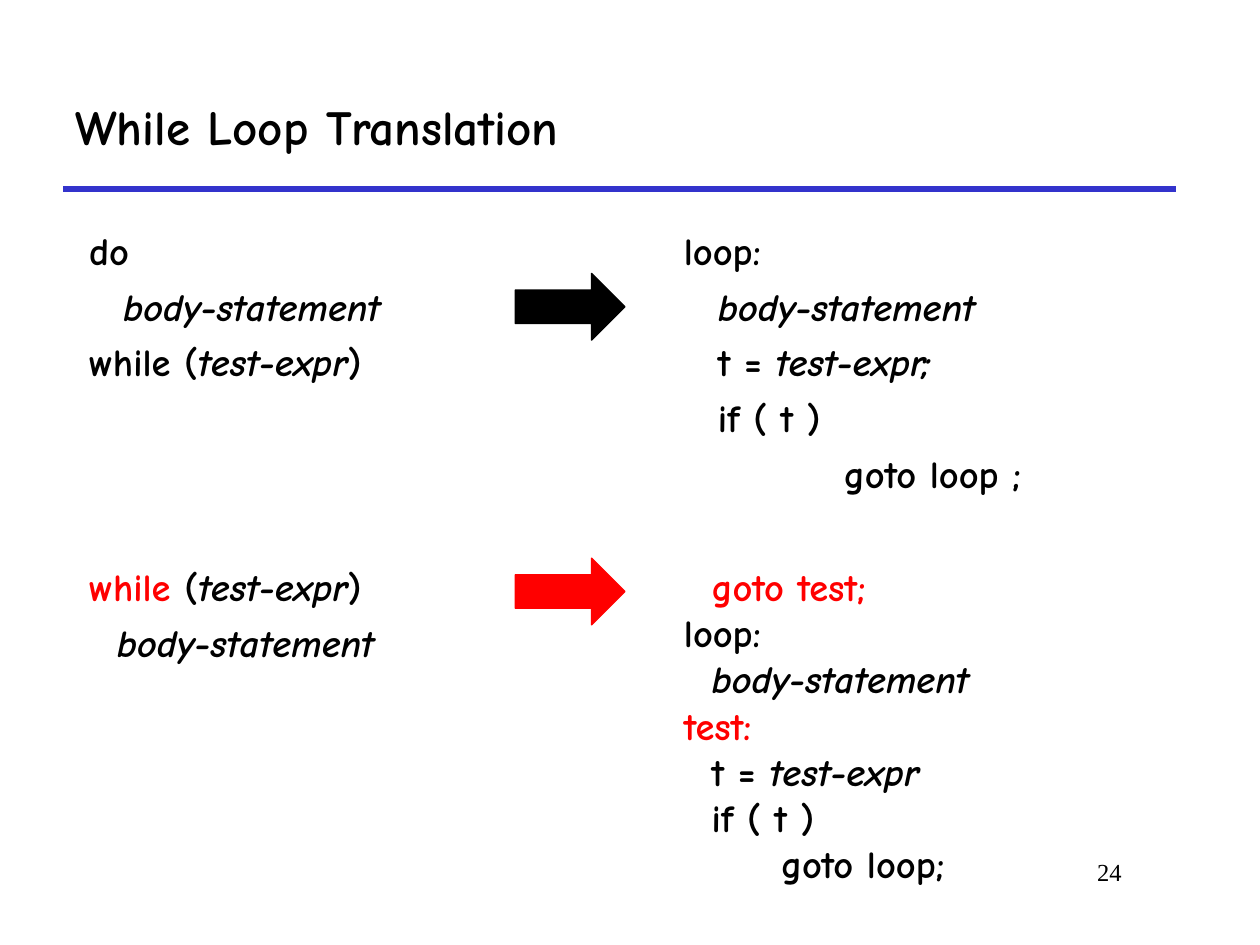
from dataclasses import dataclass

from lxml.etree import SubElement
from pptx import Presentation
from pptx.dml.color import RGBColor
from pptx.enum.shapes import MSO_CONNECTOR as Link, MSO_SHAPE as Shape
from pptx.enum.text import MSO_ANCHOR as Anchor, PP_ALIGN as Align
from pptx.oxml.ns import qn
from pptx.util import Inches, Pt

BLACK = RGBColor(0, 0, 0)
RED = RGBColor(255, 0, 0)
BLUE = RGBColor(0x33, 0x33, 0xCC)
COMIC = "Comic Neue"
TIMES = "Times New Roman"
SPACE = 0.11
TAB = 0.38


@dataclass
class Run:
    text: str
    color: RGBColor = BLACK
    slant: bool = False


@dataclass
class Line:
    runs: list[Run]
    indent: float = SPACE


@dataclass
class Block:
    left: float
    top: float
    width: float
    height: float
    lines: list[Line]
    gap: float = 5.5
    size: float = 22
    font: str = COMIC
    bold: bool = True
    align: Align = Align.LEFT
    anchor: Anchor = Anchor.TOP


BODY = Run("body-statement", slant=True)
TEST = Run("test-expr", slant=True)
LOOP = Line([Run("loop:")])
IF = Run("if ( t )")
STEP = 3 * SPACE

BLOCKS = [
    Block(0.5, 0.5, 8.83, 1, [Line([Run("While Loop Translation")], 0)],
          gap=0, size=28, anchor=Anchor.MIDDLE),
    Block(0.5, 1.75, 3.33, 1.75, [
        Line([Run("do")]),
        Line([BODY], TAB),
        Line([Run("while ("), TEST, Run(")")]),
    ]),
    Block(5.22, 1.75, 3.33, 2.42, [
        LOOP,
        Line([BODY], TAB),
        Line([Run("t = "), Run("test-expr;", slant=True)], TAB),
        Line([IF], TAB),
        Line([Run("goto loop ;")], TAB + 1),
    ]),
    Block(0.5, 4.42, 3.75, 1.25, [
        Line([Run("while", RED), Run(" ("), TEST, Run(")")]),
        Line([BODY], STEP),
    ]),
    Block(5.22, 4.42, 4.25, 2.67, [
        Line([Run("goto test;", RED)], STEP),
        LOOP,
        Line([BODY], STEP),
        Line([Run("test:", RED)]),
        Line([Run("t = "), TEST], STEP),
        Line([IF], STEP),
        Line([Run("goto loop;")], 8 * SPACE),
    ], gap=0),
    Block(7.58, 6.75, 1.42, 0.5, [Line([Run("24")], 0)], gap=0, size=14,
          font=TIMES, bold=False, align=Align.RIGHT),
]


def add_block(slide, block: Block) -> None:
    box = slide.shapes.add_textbox(Inches(block.left), Inches(block.top),
                                   Inches(block.width), Inches(block.height))
    frame = box.text_frame
    frame.word_wrap = True
    frame.vertical_anchor = block.anchor
    for i, line in enumerate(block.lines):
        para = frame.add_paragraph() if i else frame.paragraphs[0]
        para.alignment = block.align
        para.space_before = Pt(block.gap)
        para.font.name = block.font
        para.font.size = Pt(block.size)
        para.font.bold = block.bold
        if line.indent:
            para._p.get_or_add_pPr().set("marL", str(Inches(line.indent)))
        for item in line.runs:
            run = para.add_run()
            run.text = item.text
            run.font.color.rgb = item.color
            if item.slant:
                run.font.italic = True


def add_arrow(slide, top: float, color: RGBColor) -> None:
    arrow = slide.shapes.add_shape(Shape.RIGHT_ARROW, Inches(4.09),
                                   Inches(top), Inches(0.87), Inches(0.53))
    arrow.shadow.inherit = False
    arrow.fill.solid()
    arrow.fill.fore_color.rgb = color
    arrow.line.color.rgb = color
    arrow.line.width = Pt(0.75)


def add_rule(slide) -> None:
    rule = slide.shapes.add_connector(Link.STRAIGHT, Inches(0.5), Inches(1.5),
                                      Inches(9.33), Inches(1.5))
    rule.line.color.rgb = BLUE
    rule.line.width = Pt(3)
    SubElement(rule._element.spPr, qn("a:effectLst"))


def main() -> None:
    deck = Presentation()
    deck.slide_width, deck.slide_height = Inches(10), Inches(7.5)
    slide = deck.slides.add_slide(deck.slide_layouts[6])
    add_rule(slide)
    for block in BLOCKS:
        add_block(slide, block)
    add_arrow(slide, 2.17, BLACK)
    add_arrow(slide, 4.43, RED)
    deck.save("out.pptx")


if __name__ == "__main__":
    main()
